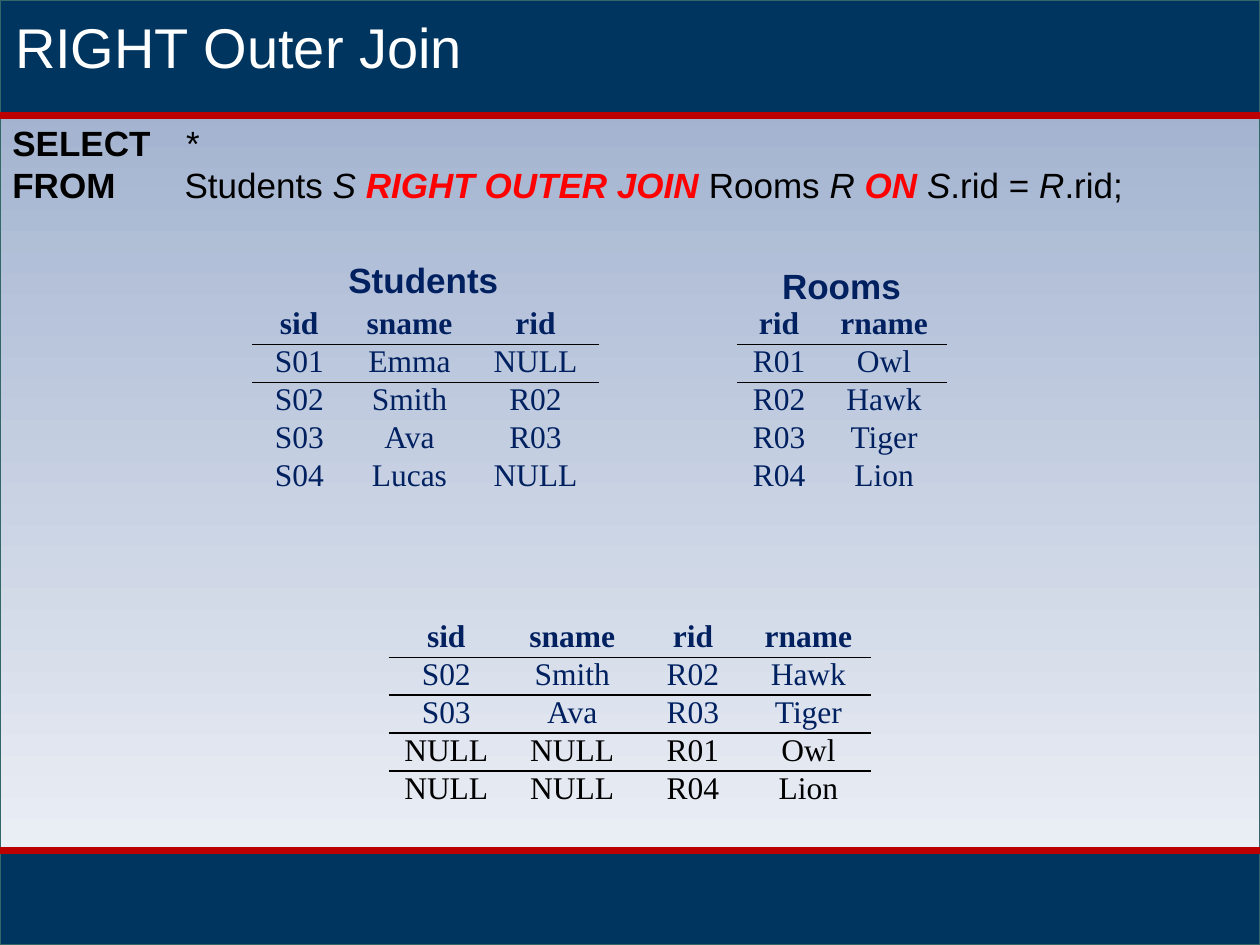
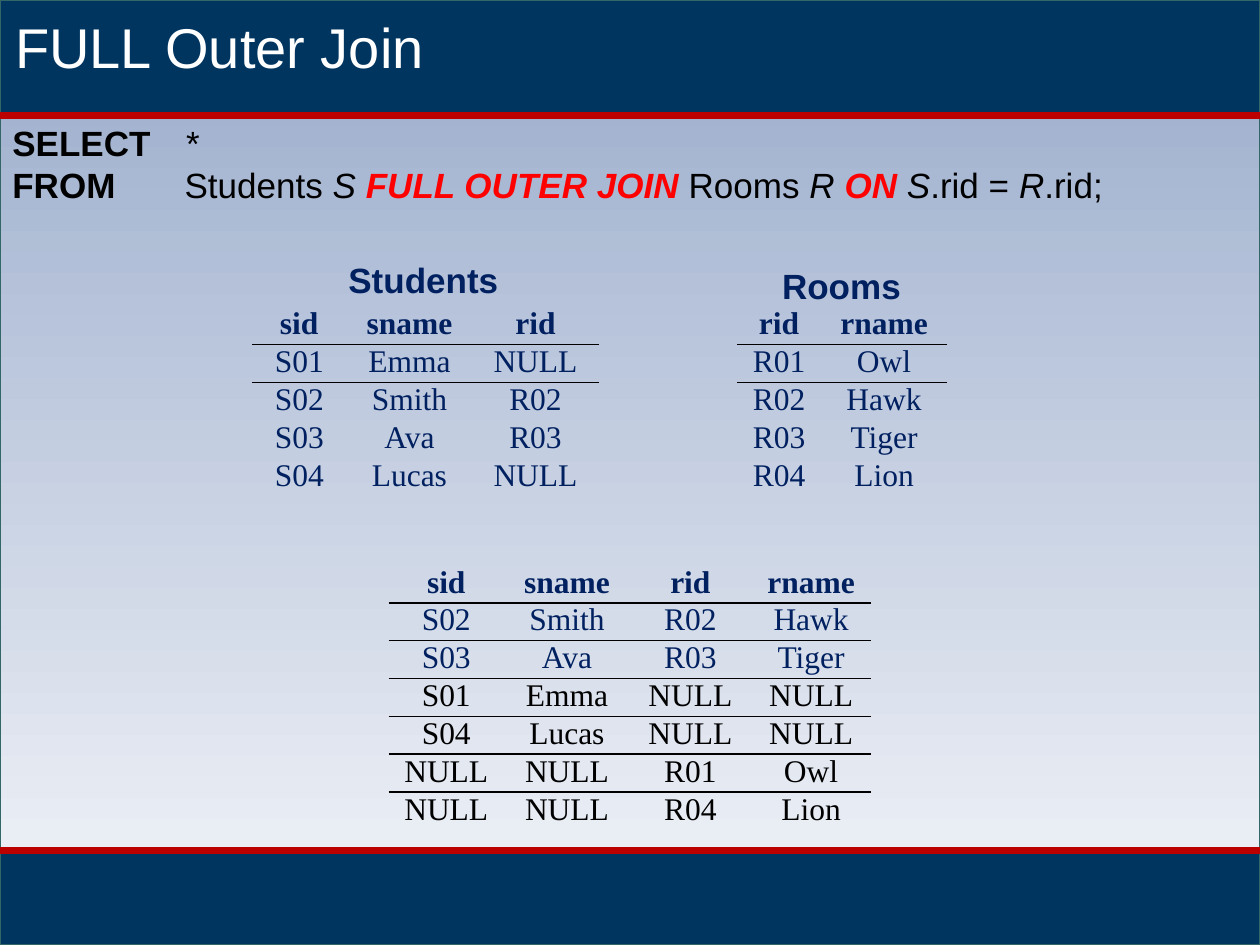
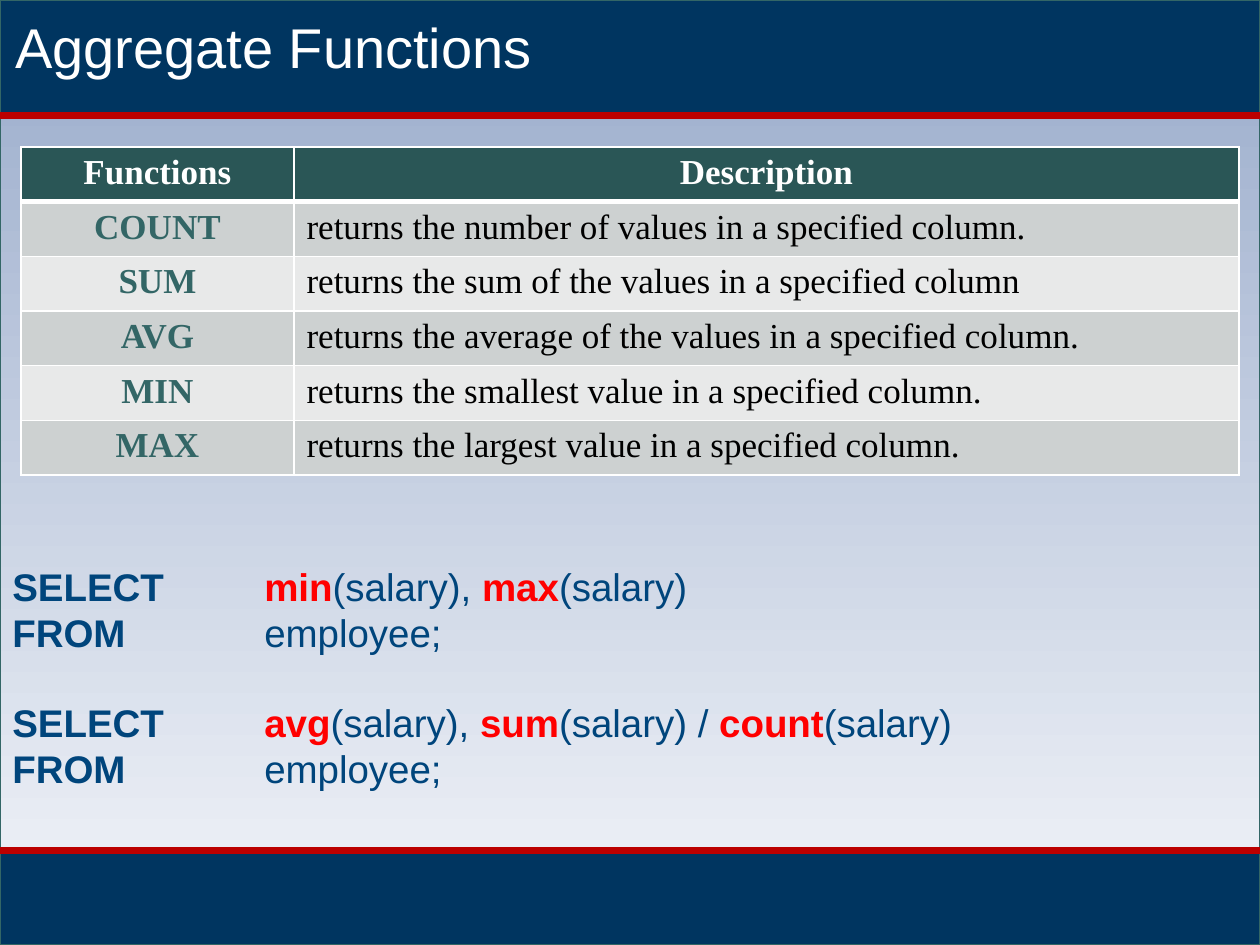
"""Build three SQL slides on outer joins and aggregate functions."""
import pptx
import pptx.dml.color
import pptx.enum.shapes
import pptx.enum.text
import pptx.oxml
import pptx.oxml.ns
import pptx.util
from lxml import etree

COLORS = {
    "band": "003560", "rule": "BC0000", "edge": "336666",
    "sky_top": "99ABCB", "sky_bottom": "F3F5F9",
    "white": "FFFFFF", "black": "000000", "navy": "002060",
    "red": "FF0000", "blue": "00457C",
    "head": "2A5656", "odd": "CDD1D1", "even": "E8E9E9",
}
SANS, SERIF = "Arial", "Times New Roman"
COLS, ROWS = 120, 90
HEAD_ROWS, FOOT_TOP = 11, 81
NO_GRID = "{2D5ABB26-0587-4C30-8999-92F81FD0307C}"
CENTER = pptx.enum.text.PP_ALIGN.CENTER

STUDENTS = [
    ("sid", "sname", "rid"), ("S01", "Emma", "NULL"), ("S02", "Smith", "R02"),
    ("S03", "Ava", "R03"), ("S04", "Lucas", "NULL"),
]
ROOMS = [
    ("rid", "rname"), ("R01", "Owl"), ("R02", "Hawk"), ("R03", "Tiger"), ("R04", "Lion"),
]
MATCHED = [
    ("sid", "sname", "rid", "rname"),
    ("S02", "Smith", "R02", "Hawk"), ("S03", "Ava", "R03", "Tiger"),
]
ONLY_STUDENTS = [("S01", "Emma", "NULL", "NULL"), ("S04", "Lucas", "NULL", "NULL")]
ONLY_ROOMS = [("NULL", "NULL", "R01", "Owl"), ("NULL", "NULL", "R04", "Lion")]
FUNCTIONS = [
    ("Functions", "Description"),
    ("COUNT", "returns the number of values in a specified column."),
    ("SUM", "returns the sum of the values in a specified column"),
    ("AVG", "returns the average of the values in a specified column."),
    ("MIN", "returns the smallest value in a specified column."),
    ("MAX", "returns the largest value in a specified column."),
]


def grid(n):
    """Return the length of n grid units, twelve to the inch."""
    return pptx.util.Inches(n / 12)


def rgb(name):
    """Return a named colour."""
    return pptx.dml.color.RGBColor.from_string(COLORS[name])


def set_font(font, face, size, color, bold=False):
    """Set face, size, colour and weight of a font."""
    font.name, font.size, font.bold = face, pptx.util.Pt(size), bold
    font.color.rgb = rgb(color)


def add_band(s, top, height, color=None):
    """Add a full-width rectangle, with the sky gradient when no colour is given."""
    sp = s.shapes.add_shape(pptx.enum.shapes.MSO_SHAPE.RECTANGLE,
                            0, grid(top), grid(COLS), grid(height))
    sp.shadow.inherit = False
    sp.line.color.rgb, sp.line.width = rgb("edge"), pptx.util.Pt(0.75)
    if color:
        sp.fill.solid()
        sp.fill.fore_color.rgb = rgb(color)
        return
    sp.fill.gradient()
    sp.fill.gradient_angle = 270
    for stop, name in zip(sp.fill.gradient_stops, ("sky_top", "sky_bottom")):
        stop.color.rgb = rgb(name)


def add_rule(s, row):
    """Add a red full-width line."""
    line = s.shapes.add_connector(pptx.enum.shapes.MSO_CONNECTOR.STRAIGHT,
                                  0, grid(row), grid(COLS), grid(row))
    line.line.color.rgb, line.line.width = rgb("rule"), pptx.util.Pt(3.75)
    etree.SubElement(line._element.spPr, pptx.oxml.ns.qn("a:effectLst"))


def add_text(s, left, top, width, height, wrap=True):
    """Add a text box and return its text frame."""
    tf = s.shapes.add_textbox(grid(left), grid(top), grid(width), grid(height)).text_frame
    tf.word_wrap = wrap
    return tf


def add_label(s, text, left, top, width, height, size, color, bold=False, wrap=False):
    """Add a one-line text and return its text frame."""
    tf = add_text(s, left, top, width, height, wrap)
    p = tf.paragraphs[0]
    p.text = text
    set_font(p.font, SANS, size, color, bold)
    return tf


def add_slide(prs, title):
    """Add a slide with background, bands, rules and title."""
    s = prs.slides.add_slide(prs.slide_layouts[6])
    add_band(s, 0, ROWS)
    add_band(s, FOOT_TOP, ROWS - FOOT_TOP, "band")
    add_band(s, 0, HEAD_ROWS, "band")
    add_rule(s, HEAD_ROWS)
    add_rule(s, FOOT_TOP)
    tf = add_label(s, title, 0.25, 0, COLS - 0.25, 7.7, 32, "white", wrap=True)
    tf.margin_top = grid(1.2)
    return s


def add_code(s, top, height, lines, size, color, tab, gap_before=()):
    """Add SQL lines: runs are (text, style), with b bold, i italic, r red."""
    tf = add_text(s, 0, top, COLS, height)
    for i, runs in enumerate(lines):
        p = tf.paragraphs[0] if i == 0 else tf.add_paragraph()
        p.font.name, p.font.size = SANS, pptx.util.Pt(size)
        if i in gap_before:
            p.space_before = pptx.util.Pt(size * 1.15)
        stops = etree.Element(pptx.oxml.ns.qn("a:tabLst"))
        etree.SubElement(stops, pptx.oxml.ns.qn("a:tab"), pos=str(grid(tab)), algn="l")
        p._p.get_or_add_pPr().insert_element_before(stops, "a:defRPr", "a:extLst")
        for text, style in runs:
            r = p.add_run()
            r.text = text
            r.font.bold, r.font.italic = "b" in style, "i" in style
            r.font.color.rgb = rgb("red" if "r" in style else color)


def add_border(cell, side, color, width):
    """Draw one side (L, R, T or B) of a cell."""
    cell._tc.get_or_add_tcPr().append(pptx.oxml.parse_xml(
        f'<a:ln{side} {pptx.oxml.ns.nsdecls("a")} w="{pptx.util.Pt(width)}"><a:solidFill>'
        f'<a:srgbClr val="{COLORS[color]}"/></a:solidFill></a:ln{side}>'))


def add_grid_table(s, left, top, widths, row_height, rows):
    """Add an unstyled table and yield row number, column number, cell and paragraph."""
    frame = s.shapes.add_table(len(rows), len(widths), grid(left), grid(top),
                               grid(sum(widths)), grid(row_height * len(rows)))
    table = frame.table
    table.horz_banding = table.first_row = False
    table._tbl.tblPr.find(pptx.oxml.ns.qn("a:tableStyleId")).text = NO_GRID
    for column, width in zip(table.columns, widths):
        column.width = grid(width)
    for i, values in enumerate(rows):
        table.rows[i].height = grid(row_height)
        for j, value in enumerate(values):
            cell = table.cell(i, j)
            p = cell.text_frame.paragraphs[0]
            p.text = value
            yield i, j, cell, p


def add_relation(s, left, top, widths, rows, lined, navy_rows):
    """Add a relation with lines under the first rows and black text after navy_rows."""
    for i, j, cell, p in add_grid_table(s, left, top, widths, 3.6, rows):
        cell.margin_top = cell.margin_bottom = 0
        p.alignment = CENTER
        set_font(p.font, SERIF, 18, "navy" if i < navy_rows else "black", i == 0)
        if i < lined:
            add_border(cell, "B", "black", 1)
        cell.fill.background()


def add_function_table(s):
    """Add the banded table of aggregate functions."""
    for i, j, cell, p in add_grid_table(s, 2, 14, (26, 90), 5.2, FUNCTIONS):
        if i == 0:
            fill, color = "head", "white"
        else:
            fill = "odd" if i % 2 else "even"
            color = "black" if j else "edge"
        if i == 0 or j == 0:
            p.alignment = CENTER
        set_font(p.font, SERIF, 20, color, i == 0 or j == 0)
        for side in "LRTB":
            thick = (i, side) in ((0, "B"), (1, "T"))
            add_border(cell, side, "white", 3 if thick else 1)
        cell.fill.solid()
        cell.fill.fore_color.rgb = rgb(fill)


def add_join_slide(prs, kind, top, widths, unmatched):
    """Add a slide with a join query, its two relations and its result."""
    s = add_slide(prs, f"{kind} Outer Join")
    add_code(s, HEAD_ROWS, 9.2, [
        [("SELECT\t", "b"), ("*", "i")],
        [("FROM\t", "b"), ("Students ", ""), ("S ", "i"), (f"{kind} OUTER JOIN ", "bir"),
         ("Rooms ", ""), ("R ", "i"), ("ON ", "bir"), ("S", "i"), (".rid = ", ""),
         ("R", "i"), (".rid;", "")],
    ], 20, "black", 16.4)
    result = MATCHED + unmatched
    add_relation(s, 37, top, widths, result, len(result) - 1, len(MATCHED))
    add_relation(s, 24, 29.2, (9, 12, 12), STUDENTS, 2, len(STUDENTS))
    add_relation(s, 70.2, 29.2, (8, 12), ROOMS, 2, len(ROOMS))
    add_label(s, "Students", 32, 24, 16.8, 5.3, 20, "navy", True)
    add_label(s, "Rooms", 73.3, 24.6, 13.8, 5.3, 20, "navy", True)


def add_aggregate_slide(prs):
    """Add the slide on aggregate functions."""
    s = add_slide(prs, "Aggregate Functions")
    add_function_table(s)
    source = [("FROM\t", "b"), ("employee;", "")]
    add_code(s, 53, 23.4, [
        [("SELECT\t", "b"), ("min", "br"), ("(salary), ", ""), ("max", "br"),
         ("(salary)", "")],
        source,
        [("SELECT\t", "b"), ("avg", "br"), ("(salary), ", ""), ("sum", "br"),
         ("(salary) / ", ""), ("count", "br"), ("(salary)", "")],
        source,
    ], 22, "blue", 24, gap_before=(2,))


def main():
    """Build and save the slides."""
    prs = pptx.Presentation()
    prs.slide_width, prs.slide_height = grid(COLS), grid(ROWS)
    add_join_slide(prs, "RIGHT", 59, (11, 13, 10, 12), ONLY_ROOMS)
    add_join_slide(prs, "FULL", 53.8, (11, 12, 11.5, 11.5), ONLY_STUDENTS + ONLY_ROOMS)
    add_aggregate_slide(prs)
    prs.save("out.pptx")


if __name__ == "__main__":
    main()
